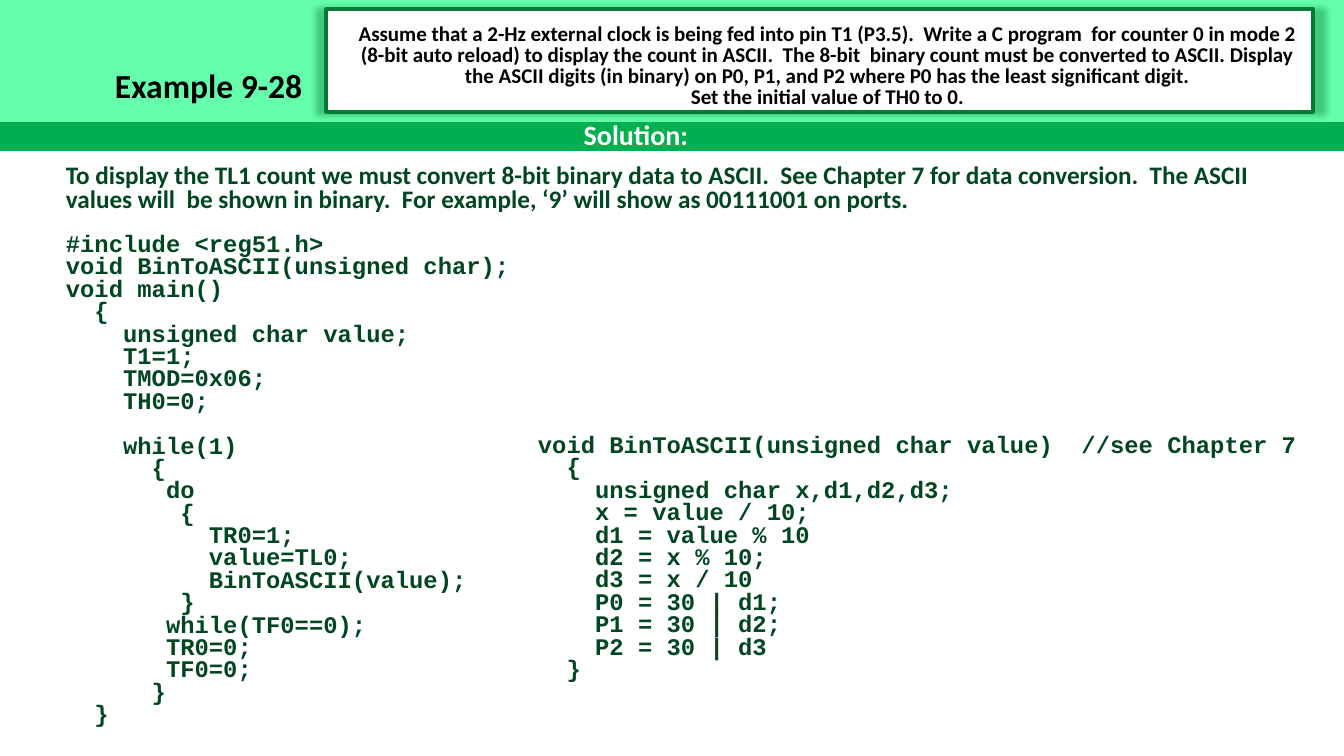
from lxml import etree
from pptx import Presentation
from pptx.dml.color import RGBColor
from pptx.enum.shapes import MSO_SHAPE as SHAPE
from pptx.enum.text import PP_ALIGN as ALIGN
from pptx.oxml.ns import qn
from pptx.util import Emu, Pt

PX = 914400 / 100.8
COLORS = {
    "band": "00B050",
    "header": "65FFAB",
    "border": "007A37",
    "body": "004620",
    "black": "000000",
    "white": "FFFFFF",
}

presentation = Presentation()
presentation.slide_width = Emu(round(1344 * PX))
presentation.slide_height = Emu(round(756 * PX))
slide = presentation.slides.add_slide(presentation.slide_layouts[6])


def add_box(left, top, width, height, fill):
    place = [Emu(round(value * PX)) for value in (left, top, width, height)]
    shape = slide.shapes.add_shape(SHAPE.RECTANGLE, *place)
    shape.shadow.inherit = False
    shape.fill.solid()
    shape.fill.fore_color.rgb = RGBColor.from_string(COLORS[fill])
    shape.line.fill.background()
    return shape


def add_text(box, lines, size, color, font="Calibri", spacing=None, align=ALIGN.LEFT):
    """Write one paragraph per line; an empty line becomes space before the next."""
    place = [Emu(round(value * PX)) for value in box]
    frame = slide.shapes.add_textbox(*place).text_frame
    frame.word_wrap = True
    paragraph = frame.paragraphs[0]
    gap = False
    for index, line in enumerate(lines):
        if not line:
            gap = True
            continue
        if index:
            paragraph = frame.add_paragraph()
        paragraph.alignment = align
        if spacing:
            paragraph.line_spacing = Pt(spacing)
        if gap:
            paragraph.space_before = Pt(spacing)
            gap = False
        run = paragraph.add_run()
        run.text = line
        run.font.name = font
        run.font.size = Pt(size)
        run.font.bold = True
        run.font.color.rgb = RGBColor.from_string(COLORS[color])


# Header bands and title
add_box(0, 0, 1344, 151, "band")
add_box(0, 0, 1344, 122, "header")
add_text((105, 60, 1135, 50), ["Example 9-28"], 24, "black")

# Program code and explanation
main_code = """#include <reg51.h>
void BinToASCII(unsigned char);
void main()
  {
    unsigned char value;
    T1=1;
    TMOD=0x06;
    TH0=0;

    while(1)
      {
       do
        {
          TR0=1;
          value=TL0;
          BinToASCII(value);
        }
       while(TF0==0);
       TR0=0;
       TF0=0;
      }
  }"""
convert_code = """void BinToASCII(unsigned char value)  //see Chapter 7
  {
    unsigned char x,d1,d2,d3;
    x = value / 10;
    d1 = value % 10
    d2 = x % 10;
    d3 = x / 10
    P0 = 30 | d1;
    P1 = 30 | d2;
    P2 = 30 | d3
  }"""
explanation = (
    "To display the TL1 count we must convert 8-bit binary data to ASCII.  "
    "See Chapter 7 for data conversion.  The ASCII values will  be shown in binary.  "
    "For example, ‘9’ will show as 00111001 on ports."
)
for box, code in [((56, 230, 591, 510), main_code), ((528, 431, 815, 260), convert_code)]:
    add_text(box, code.split("\n"), 17, "body", font="Courier New", spacing=16)
add_text((56, 161, 1232, 58), [explanation], 18, "body", spacing=17)

# Problem statement in a bordered box with a soft glow-like shadow
problem_box = add_box(326, 9, 987, 103, "white")
problem_box.line.color.rgb = RGBColor.from_string(COLORS["border"])
problem_box.line.width = Pt(2.25)
effects = problem_box._element.spPr.find(qn("a:effectLst"))
shadow = etree.SubElement(
    effects, qn("a:outerShdw"), blurRad=str(Pt(5)), sx="102000", sy="102000",
    algn="ctr", rotWithShape="0")
shadow_color = etree.SubElement(shadow, qn("a:srgbClr"), val=COLORS["border"])
etree.SubElement(shadow_color, qn("a:alpha"), val="40000")

problem = [
    "Assume that a 2-Hz external clock is being fed into pin T1 (P3.5).  "
    "Write a C program  for counter 0 in mode 2 (8-bit auto reload) to display "
    "the count in ASCII.  The 8-bit  binary count must be converted to ASCII. "
    "Display the ASCII digits (in binary) on P0, P1, and P2 where P0 has the "
    "least significant digit.",
    "Set the initial value of TH0 to 0.",
]
add_text((343, 20, 969, 96), problem, 15, "black", spacing=15, align=ALIGN.CENTER)
add_text((-36, 118, 1344, 40), ["Solution:"], 20, "white", spacing=20, align=ALIGN.CENTER)

presentation.save("out.pptx")
